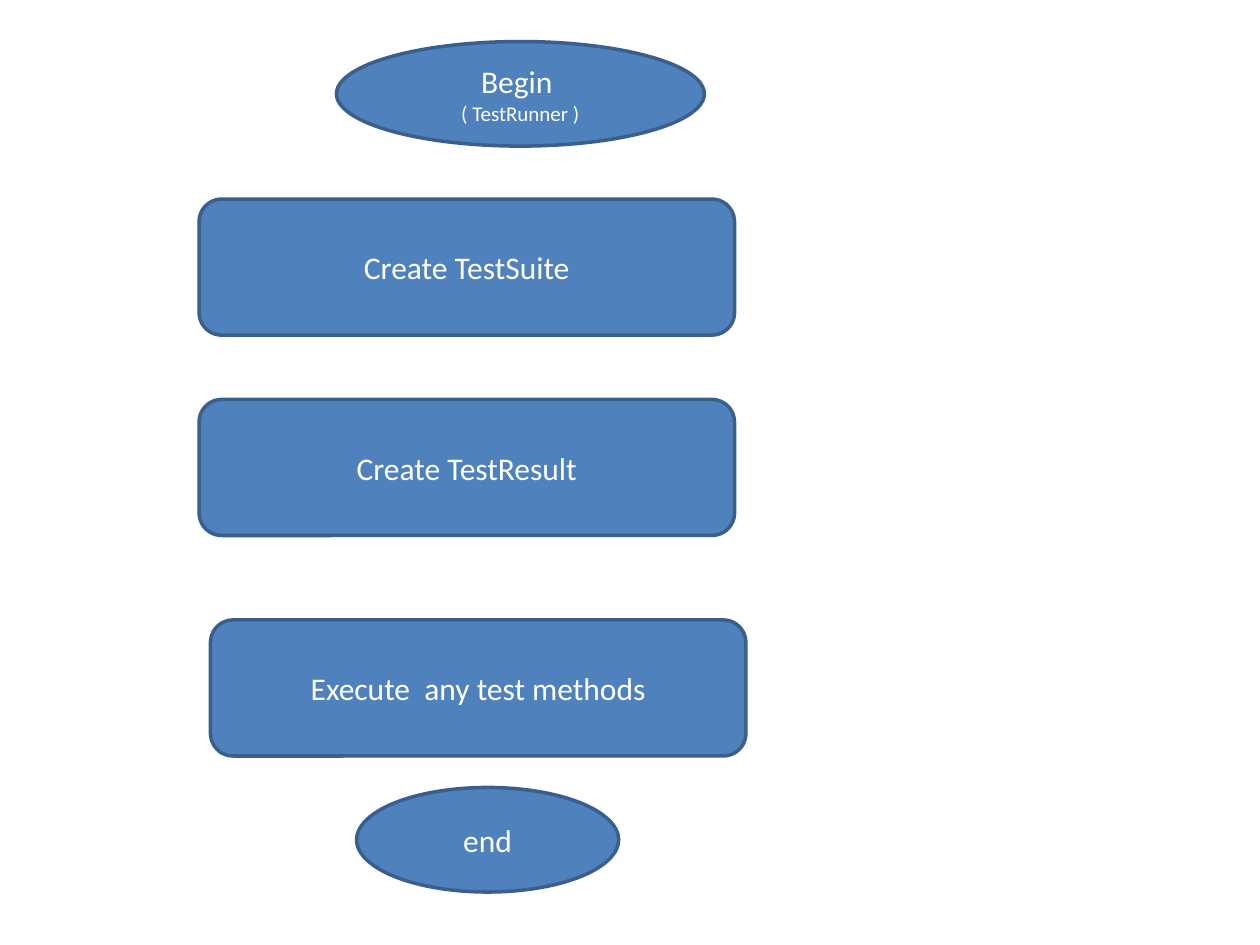
from dataclasses import dataclass

from pptx import Presentation
from pptx.dml.color import RGBColor
from pptx.enum.shapes import MSO_SHAPE as Shape
from pptx.enum.text import MSO_ANCHOR as Anchor, PP_ALIGN as Align
from pptx.util import Inches, Pt


@dataclass(frozen=True)
class Theme:
    font: str = "Calibri"
    fill: RGBColor = RGBColor(0x4F, 0x81, 0xBD)
    outline: RGBColor = RGBColor(0x3A, 0x5F, 0x8C)
    text: RGBColor = RGBColor(0xFF, 0xFF, 0xFF)
    outline_width: Pt = Pt(2)
    label_size: Pt = Pt(18)
    note_size: Pt = Pt(12)


THEME = Theme()
STEP_SIZE = (4.25, 1.08)
TERMINAL_HEIGHT = 0.83

# Label and the left and top of each step, in inches
STEPS = [
    ("Create TestSuite", 1.58, 1.58),
    ("Create TestResult", 1.58, 3.17),
    ("Execute  any test methods", 1.67, 4.92),
]


def add_node(slide, kind, box, label, note=None):
    """Draw one flowchart node in box, with an optional smaller second line."""
    shape = slide.shapes.add_shape(kind, *(Inches(length) for length in box))
    shape.shadow.inherit = False
    shape.fill.solid()
    shape.fill.fore_color.rgb = THEME.fill
    shape.line.color.rgb = THEME.outline
    shape.line.width = THEME.outline_width

    text_frame = shape.text_frame
    text_frame.word_wrap = True
    text_frame.vertical_anchor = Anchor.MIDDLE
    text_frame.text = f"{label}\n{note}" if note else label
    sizes = (THEME.label_size, THEME.note_size)
    for paragraph, size in zip(text_frame.paragraphs, sizes):
        paragraph.alignment = Align.CENTER
        for run in paragraph.runs:
            run.font.name = THEME.font
            run.font.size = size
            run.font.color.rgb = THEME.text


def add_flowchart(slide):
    # Start
    add_node(slide, Shape.OVAL, (2.67, 0.33, 2.92, TERMINAL_HEIGHT),
             "Begin ", "( TestRunner )")
    # Steps
    for label, left, top in STEPS:
        add_node(slide, Shape.ROUNDED_RECTANGLE, (left, top, *STEP_SIZE), label)
    # End
    add_node(slide, Shape.OVAL, (2.83, 6.25, 2.08, TERMINAL_HEIGHT), "end")


def main():
    presentation = Presentation()
    presentation.slide_width = Inches(10)
    presentation.slide_height = Inches(7.5)
    blank_layout = presentation.slide_layouts[6]
    add_flowchart(presentation.slides.add_slide(blank_layout))
    presentation.save("out.pptx")


if __name__ == "__main__":
    main()
